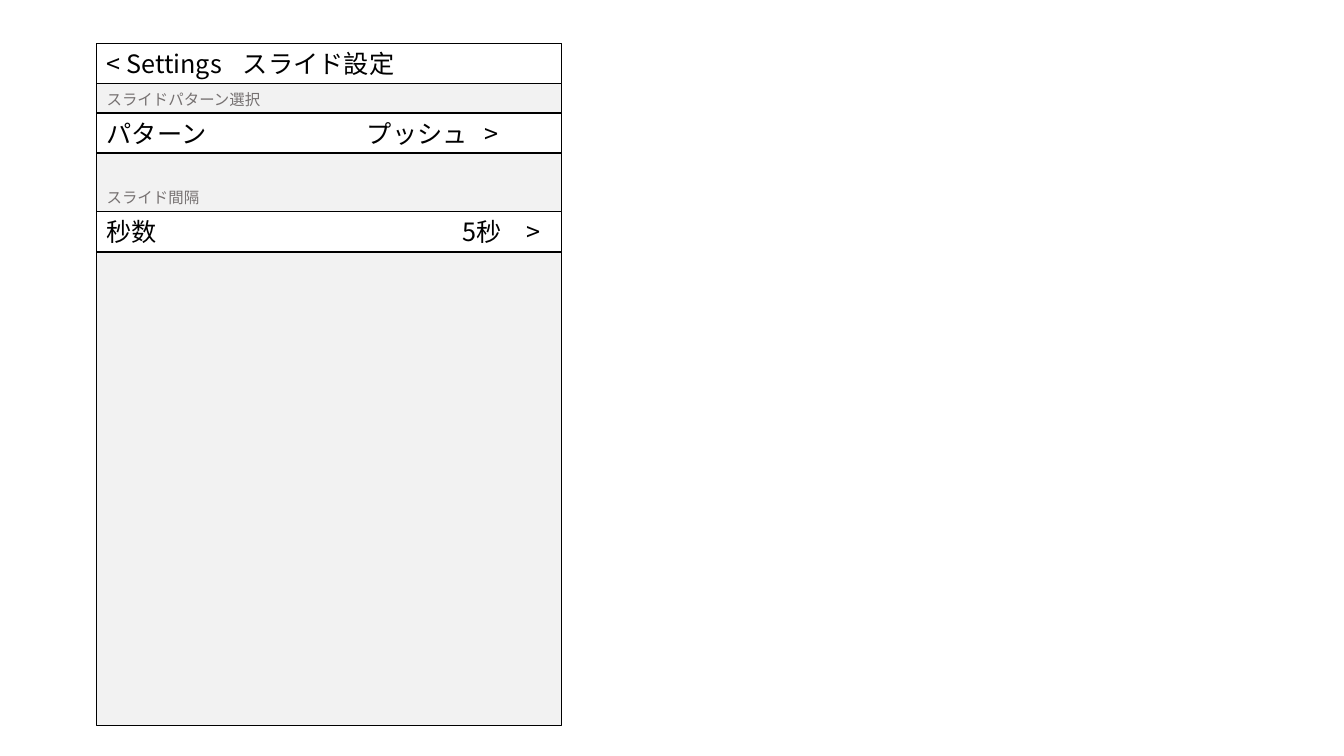
from dataclasses import dataclass

from lxml.etree import SubElement
from pptx import Presentation
from pptx.dml.color import RGBColor
from pptx.enum.shapes import MSO_SHAPE
from pptx.enum.text import MSO_ANCHOR, MSO_AUTO_SIZE, PP_ALIGN
from pptx.oxml.ns import qn
from pptx.util import Emu, Pt

EMU_PER_PX = 9144  # 100 px to the inch
TITLE_ONLY_LAYOUT = 5


@dataclass(frozen=True)
class Theme:
    font: str = "Noto Sans CJK JP"
    ink: str = "000000"
    muted: str = "767171"
    panel: str = "F2F2F2"
    row: str = "FFFFFF"
    row_size: int = 18
    label_size: int = 11
    line_width: int = 1


def px(length):
    return Emu(length * EMU_PER_PX)


def write_text(shape, text, *, font, size, color, wrap=True, tabs=()):
    frame = shape.text_frame
    frame.auto_size = MSO_AUTO_SIZE.NONE
    frame.word_wrap = wrap
    frame.vertical_anchor = MSO_ANCHOR.MIDDLE
    frame.margin_left = frame.margin_right = px(10)
    frame.margin_top = frame.margin_bottom = px(5)
    paragraph = frame.paragraphs[0]
    paragraph.alignment = PP_ALIGN.LEFT
    if tabs:
        tab_list = SubElement(paragraph._p.get_or_add_pPr(), qn("a:tabLst"))
        for position in tabs:
            SubElement(tab_list, qn("a:tab"), pos=str(px(position)), algn="l")
    run = paragraph.add_run()
    run.text = text
    run.font.name = font
    run.font.size = Pt(size)
    run.font.color.rgb = RGBColor.from_string(color)
    SubElement(run.font._element, qn("a:ea"), typeface=font)


class SettingsScreen:
    def __init__(self, slide, theme, left, width):
        self.slide = slide
        self.theme = theme
        self.left = left
        self.width = width

    def outline(self, shape, fill):
        shape.fill.solid()
        shape.fill.fore_color.rgb = RGBColor.from_string(fill)
        shape.line.color.rgb = RGBColor.from_string(self.theme.ink)
        shape.line.width = Pt(self.theme.line_width)

    def box(self, top, height, fill):
        shape = self.slide.shapes.add_shape(
            MSO_SHAPE.RECTANGLE, px(self.left), px(top), px(self.width), px(height))
        shape.shadow.inherit = False
        self.outline(shape, fill)
        return shape

    def row_text(self, shape, text, tabs):
        write_text(shape, text, font=self.theme.font, size=self.theme.row_size,
                   color=self.theme.ink, tabs=tabs)

    def panel(self, top, height):
        self.box(top, height, self.theme.panel)

    def title(self, text, top, height, tabs):
        """Turn the title placeholder into the header row, in front of the panel."""
        shape = self.slide.shapes.title
        self.slide.shapes.element.append(shape.element)
        shape.left, shape.top = px(self.left), px(top)
        shape.width, shape.height = px(self.width), px(height)
        self.outline(shape, self.theme.row)
        self.row_text(shape, text, tabs)

    def row(self, text, top, height, tabs):
        self.row_text(self.box(top, height, self.theme.row), text, tabs)

    def label(self, text, top, width, height):
        shape = self.slide.shapes.add_textbox(
            px(self.left), px(top), px(width), px(height))
        write_text(shape, text, font=self.theme.font, size=self.theme.label_size,
                   color=self.theme.muted, wrap=False)


def main():
    presentation = Presentation()
    presentation.slide_width, presentation.slide_height = px(1333), px(750)
    slide = presentation.slides.add_slide(presentation.slide_layouts[TITLE_ONLY_LAYOUT])

    screen = SettingsScreen(slide, Theme(), left=96, width=461)
    row_height, label_height = 40, 29
    screen.panel(top=43, height=677)
    screen.title("< Settings\tスライド設定", 43, row_height, tabs=[135])
    screen.label("スライドパターン選択", 84, 174, label_height)
    screen.row("パターン\tプッシュ\t>", 112, row_height, tabs=[258, 375])
    screen.label("スライド間隔", 181, 113, label_height)
    screen.row("秒数\t5秒\t>", 210, row_height, tabs=[353, 416])

    presentation.save("out.pptx")


if __name__ == "__main__":
    main()
